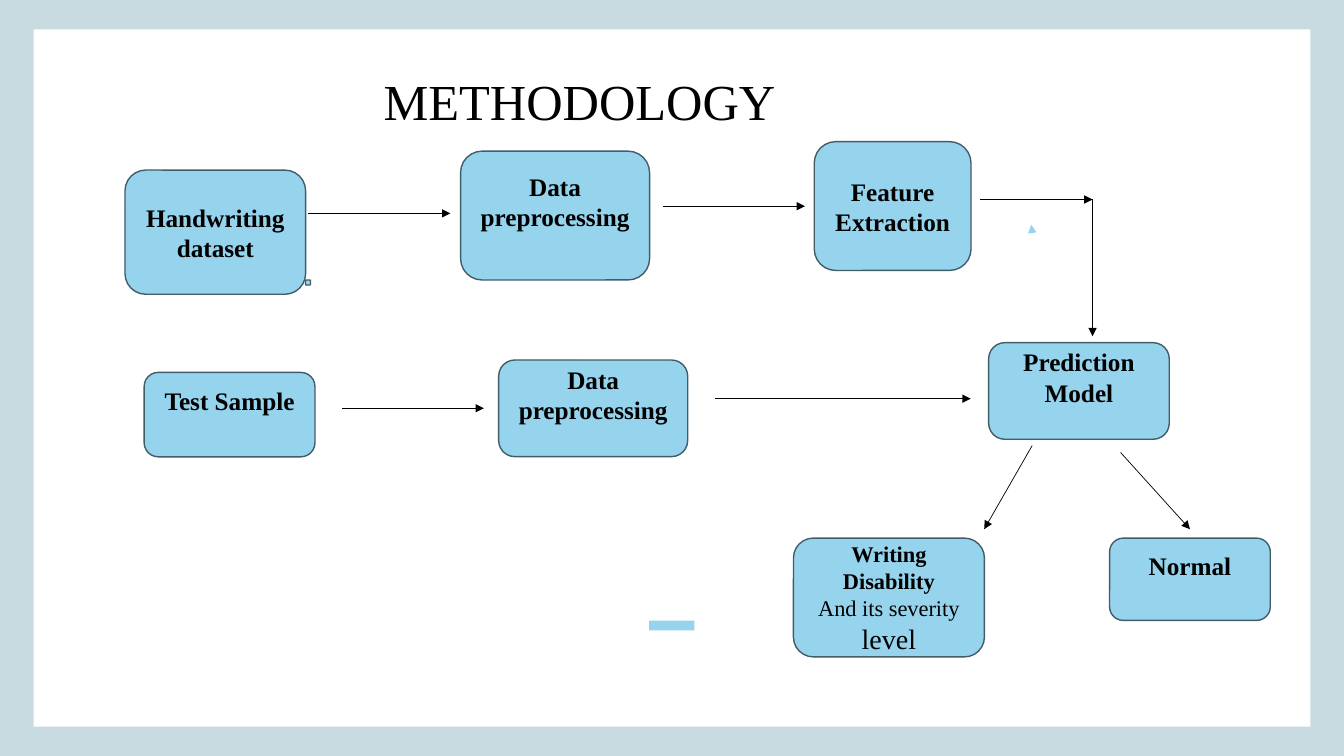
import pptx
import pptx.util
import pptx.dml.color
import pptx.enum.shapes
import pptx.enum.text
import pptx.oxml
import pptx.oxml.ns

Pt = pptx.util.Pt
RGBColor = pptx.dml.color.RGBColor
MSO_SHAPE = pptx.enum.shapes.MSO_SHAPE
MSO_CONNECTOR = pptx.enum.shapes.MSO_CONNECTOR
MSO_ANCHOR = pptx.enum.text.MSO_ANCHOR
PP_ALIGN = pptx.enum.text.PP_ALIGN

FRAME = RGBColor(0xC7, 0xDB, 0xE1)
WHITE = RGBColor(0xFF, 0xFF, 0xFF)
BLACK = RGBColor(0x00, 0x00, 0x00)
SKY = RGBColor(0x96, 0xD3, 0xED)
OUTLINE = RGBColor(0x42, 0x5C, 0x68)
FONT = "Times New Roman"
RAISED = 20


def set_values(target, values):
    for name, value in values.items():
        setattr(target, name, value)


def add_runs(paragraph, runs):
    paragraph.alignment = PP_ALIGN.CENTER
    for text, size, bold in runs:
        run = paragraph.add_run()
        run.text = text
        set_values(run.font, {"name": FONT, "size": Pt(size), "bold": bold})
        run.font.color.rgb = BLACK


def add_block(slide, kind, bounds, fill, line=None):
    shape = slide.shapes.add_shape(kind, *map(Pt, bounds))
    shape.shadow.inherit = False
    shape.fill.solid()
    shape.fill.fore_color.rgb = fill
    if line is None:
        shape.line.fill.background()
    else:
        shape.line.color.rgb = line
        shape.line.width = Pt(1)
    return shape


def add_step(slide, bounds, paragraphs, bottom=0):
    shape = add_block(slide, MSO_SHAPE.ROUNDED_RECTANGLE, bounds, SKY, OUTLINE)
    frame = shape.text_frame
    set_values(frame, {
        "word_wrap": True,
        "vertical_anchor": MSO_ANCHOR.MIDDLE,
        "margin_top": 0,
        "margin_bottom": Pt(bottom),
    })
    for index, runs in enumerate(paragraphs):
        paragraph = frame.add_paragraph() if index else frame.paragraphs[0]
        add_runs(paragraph, runs)


def add_title(slide, text, bounds):
    frame = slide.shapes.add_textbox(*map(Pt, bounds)).text_frame
    frame.word_wrap = True
    add_runs(frame.paragraphs[0], [(text, 36, False)])


def add_arrow(slide, points, color=BLACK, kind=MSO_CONNECTOR.STRAIGHT):
    connector = slide.shapes.add_connector(kind, *map(Pt, points))
    connector.line.color.rgb = color
    connector.line.width = Pt(0.5)
    line = connector.line._get_or_add_ln()
    tail = pptx.oxml.parse_xml(
        f'<a:tailEnd {pptx.oxml.ns.nsdecls("a")} type="triangle"/>')
    line.append(tail)
    properties = connector._element.spPr
    properties.append(pptx.oxml.parse_xml(
        f'<a:effectLst {pptx.oxml.ns.nsdecls("a")}/>'))
    return connector


def main():
    presentation = pptx.Presentation()
    set_values(presentation, {"slide_width": Pt(960), "slide_height": Pt(540)})
    slide = presentation.slides.add_slide(presentation.slide_layouts[6])
    slide.background.fill.solid()
    slide.background.fill.fore_color.rgb = FRAME

    add_block(slide, MSO_SHAPE.RECTANGLE, (24, 21, 912, 498), WHITE)
    add_block(slide, MSO_SHAPE.RECTANGLE, (463.7, 443.3, 32.4, 7), SKY)
    add_title(slide, "METHODOLOGY", (211.7, 46.8, 404.6, 51.1))

    steps = [
        ("Handwriting dataset", (89.3, 121.5, 129, 88.7), 0),
        ("Data preprocessing", (329, 108, 135, 92), RAISED),
        ("Test Sample", (103, 266, 122, 60.3), RAISED),
        ("Data preprocessing", (356.2, 257.2, 135, 69), RAISED),
        ("Feature Extraction", (581.6, 101.2, 112, 92), 0),
        ("Prediction Model", (706.2, 244.8, 129, 69), RAISED),
        ("Normal", (792.6, 384.4, 114.8, 58.8), RAISED),
    ]
    for text, bounds, bottom in steps:
        add_step(slide, bounds, [[(text, 18, True)]], bottom)
    add_step(slide, (566.8, 384.4, 136.4, 84.8), [
        [("Writing Disability", 16, True)],
        [("And its severity ", 16, False), ("level", 20, False)],
    ])
    add_block(slide, MSO_SHAPE.ROUNDED_RECTANGLE,
              (218.2, 200, 3.6, 3.6), SKY, OUTLINE)

    arrows = [
        (244.3, 291.6, 345.6, 291.6),
        (473.6, 147.3, 575, 147.3),
        (510.7, 284.8, 693.4, 284.8),
        (220.3, 152.4, 321.7, 152.4),
        (737.3, 318.3, 703, 378),
        (800.4, 323.2, 850, 378),
        (780.4, 142.5, 780.4, 240.2),
        (700, 142.5, 780.4, 142.5),
    ]
    for points in arrows:
        add_arrow(slide, points)
    elbow = add_arrow(slide, (734.4, 163.4, 739.4, 162.7), SKY, MSO_CONNECTOR.ELBOW)
    elbow._element.spPr.find(pptx.oxml.ns.qn("a:xfrm")).set("rot", "16200000")

    presentation.save("out.pptx")


if __name__ == "__main__":
    main()
